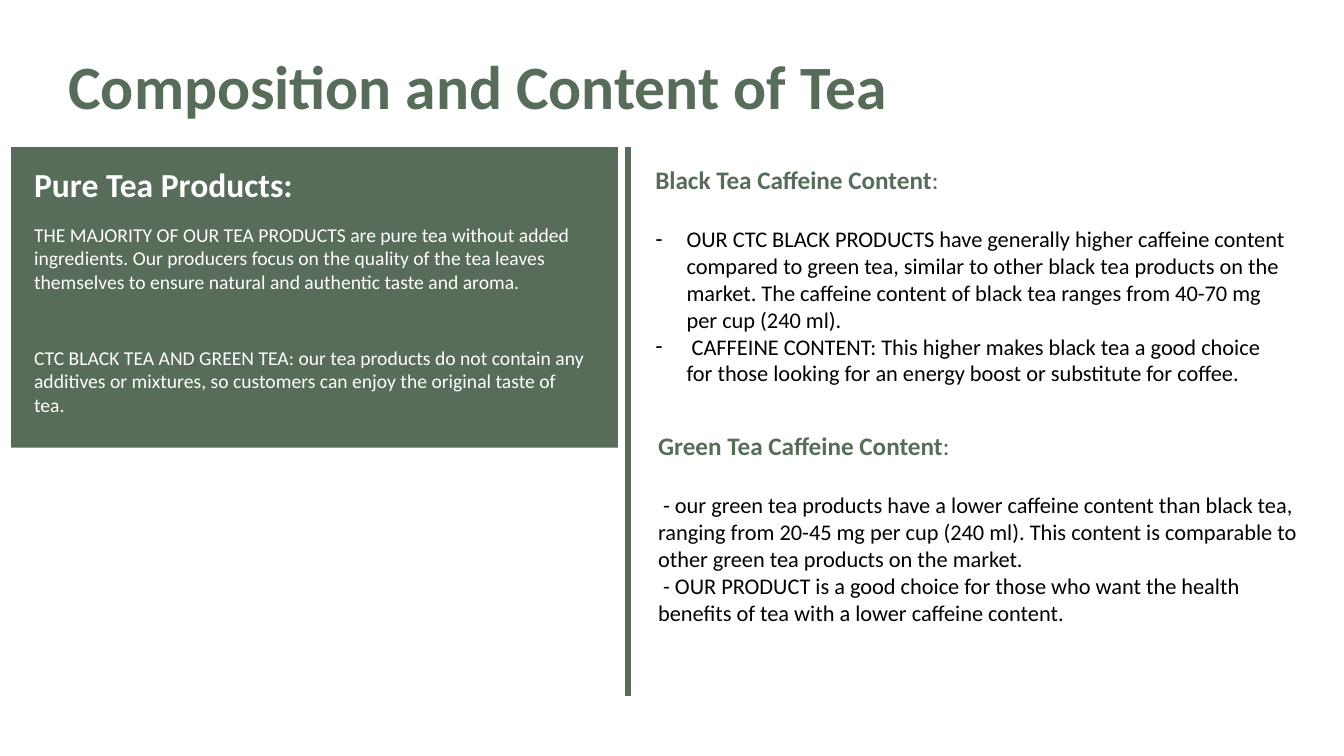
"""Build the slide on the composition and caffeine content of tea."""
from dataclasses import dataclass
from typing import Any

from lxml.etree import SubElement as Sub
from pptx import Presentation
from pptx.dml.color import RGBColor as Rgb
from pptx.enum.shapes import MSO_CONNECTOR as Link, MSO_SHAPE as Kind
from pptx.enum.text import MSO_ANCHOR as Anchor, MSO_AUTO_SIZE as Fit, PP_ALIGN as Align
from pptx.oxml.ns import qn
from pptx.util import Cm, Pt

HUES = {"green": "576C59", "white": "FFFFFF", "black": "000000"}
DASH = 0.79


@dataclass(frozen=True)
class Box:
    """Place of an element in centimetres."""
    left: float
    top: float
    width: float
    height: float


@dataclass(frozen=True)
class Look:
    """Size, colour and weight of a run."""
    size: int
    hue: str
    bold: bool = False


@dataclass(frozen=True)
class Line:
    """Paragraph made of text and look pairs."""
    runs: tuple[tuple[str, Look], ...]
    gap: int = 0
    dash: bool = False
    pitch: float = 1.0


@dataclass(frozen=True)
class Note:
    """White text on the green panel."""
    box: Box
    text: str
    look: Look


@dataclass(frozen=True)
class Topic:
    """Heading with its list of points."""
    box: Box
    head: str
    items: tuple[str, ...]
    dash: bool


HEAD = Look(18, "green", True)
COLON = Look(18, "green")
ITEM = Look(16, "black")
BODY = Look(14, "white")

TITLE = Box(1.47, 1.27, 21.95, 1.96)
PANEL = Box(0.28, 3.71, 15.29, 7.57)
RULE = Box(15.82, 3.71, 0, 13.84)

NOTES = (
    Note(Box(0.61, 4.01, 9.86, 1.27), "Pure Tea Products:", Look(24, "white", True)),
    Note(Box(0.61, 5.49, 15.21, 2.06),
         "THE MAJORITY OF OUR TEA PRODUCTS are pure tea without added ingredients. "
         "Our producers focus on the quality of the tea leaves themselves to ensure "
         "natural and authentic taste and aroma.", BODY),
    Note(Box(0.61, 8.59, 14.53, 2.06),
         "CTC BLACK TEA AND GREEN TEA: our tea products do not contain any additives "
         "or mixtures, so customers can enjoy the original taste of tea.", BODY),
)

TOPICS = (
    Topic(Box(16.26, 4.01, 16.54, 5.89), "Black Tea Caffeine Content", (
        "OUR CTC BLACK PRODUCTS have generally higher caffeine content compared to "
        "green tea, similar to other black tea products on the market. The caffeine "
        "content of black tea ranges from 40-70 mg per cup (240 ml).",
        " CAFFEINE CONTENT: This higher makes black tea a good choice for those "
        "looking for an energy boost or substitute for coffee."), True),
    Topic(Box(16.33, 10.72, 16.94, 5.21), "Green Tea Caffeine Content", (
        " - our green tea products have a lower caffeine content than black tea, "
        "ranging from 20-45 mg per cup (240 ml). This content is comparable to other "
        "green tea products on the market.",
        " - OUR PRODUCT is a good choice for those who want the health benefits of "
        "tea with a lower caffeine content."), False),
)


def tint(name: str) -> Rgb:
    """Return a named colour."""
    return Rgb.from_string(HUES[name])


def apply(item: Any, vals: dict[str, Any]) -> None:
    """Set each format value on the item."""
    for key, val in vals.items():
        setattr(item, key, val)


def place(shape: Any, box: Box) -> None:
    """Move and size a shape."""
    apply(shape, {"left": Cm(box.left), "top": Cm(box.top),
                  "width": Cm(box.width), "height": Cm(box.height)})


def mark(para: Any, dash: bool) -> None:
    """Give a paragraph a hanging dash or no bullet."""
    props = para._p.get_or_add_pPr()
    step = Cm(DASH) if dash else 0
    props.set("marL", str(step))
    props.set("indent", str(-step))
    if dash:
        Sub(props, qn("a:buChar"), char="-")
    else:
        Sub(props, qn("a:buNone"))


def write(shape: Any, lines: list[Line], anchor: Anchor = Anchor.TOP) -> None:
    """Fill a shape with formatted lines."""
    frame = shape.text_frame
    apply(frame, {"word_wrap": True, "auto_size": Fit.NONE, "vertical_anchor": anchor})
    for num, line in enumerate(lines):
        para = frame.add_paragraph() if num else frame.paragraphs[0]
        mark(para, line.dash)
        apply(para, {"alignment": Align.LEFT, "line_spacing": line.pitch,
                     "space_before": Pt(line.gap), "space_after": Pt(0)})
        for text, look in line.runs:
            run = para.add_run()
            run.text = text
            apply(run.font, {"name": "Calibri", "size": Pt(look.size), "bold": look.bold})
            run.font.color.rgb = tint(look.hue)


def panel(slide: Any) -> None:
    """Draw the green panel and its notes."""
    shape = slide.shapes.add_shape(Kind.RECTANGLE, 0, 0, 0, 0)
    place(shape, PANEL)
    shape.shadow.inherit = False
    shape.fill.solid()
    shape.fill.fore_color.rgb = tint("green")
    shape.line.fill.background()
    for note in NOTES:
        text = slide.shapes.add_textbox(0, 0, 0, 0)
        place(text, note.box)
        write(text, [Line(((note.text, note.look),))])


def rule(slide: Any) -> None:
    """Draw the upright rule between the columns."""
    left, top = Cm(RULE.left), Cm(RULE.top)
    line = slide.shapes.add_connector(Link.STRAIGHT, left, top, left,
                                      Cm(RULE.top + RULE.height))
    line.line.color.rgb = tint("green")
    line.line.width = Pt(4.5)
    Sub(line._element.spPr, qn("a:effectLst"))


def main() -> None:
    """Build and save the slide."""
    deck = Presentation()
    apply(deck, {"slide_width": Cm(33.87), "slide_height": Cm(19.05)})
    slide = deck.slides.add_slide(deck.slide_layouts.get_by_name("Two Content"))
    title, *bodies = slide.placeholders
    place(title, TITLE)
    name = ("Composition and Content of Tea", Look(44, "green", True))
    write(title, [Line((name,), pitch=0.9)], Anchor.MIDDLE)
    panel(slide)
    for body, topic in zip(bodies, TOPICS):
        place(body, topic.box)
        head = Line(((topic.head, HEAD), (":", COLON)))
        items = [Line(((text, ITEM),), 0 if num else 22, topic.dash)
                 for num, text in enumerate(topic.items)]
        write(body, [head, *items])
    rule(slide)
    deck.save("out.pptx")


if __name__ == "__main__":
    main()
